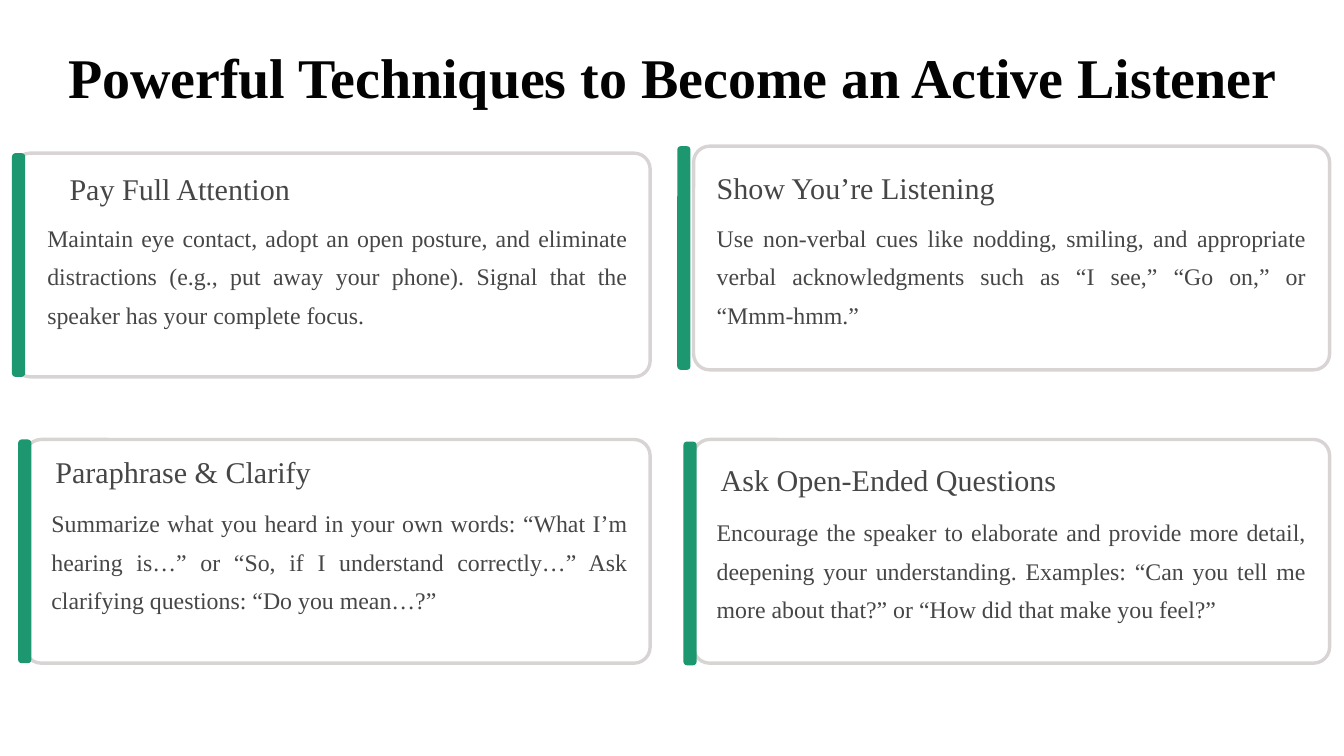
from dataclasses import dataclass
from typing import NamedTuple

from pptx import Presentation
from pptx.dml.color import RGBColor as Rgb
from pptx.enum.shapes import MSO_SHAPE as Kind
from pptx.enum.text import MSO_ANCHOR as Anchor, PP_ALIGN as Align
from pptx.slide import Slide
from pptx.util import Pt


@dataclass(frozen=True)
class Theme:
    font: str = "Times New Roman"
    ink: str = "030303"
    gray: str = "464646"
    white: str = "FFFFFF"
    edge: str = "D8D4D4"
    green: str = "1C9770"
    title: float = 40
    head: float = 21.5
    body: float = 17


class Box(NamedTuple):
    left: float
    top: float
    width: float
    height: float


class Card(NamedTuple):
    frame: Box
    bar: tuple[float, float]
    head: Box
    body: Box
    title: str
    words: str


THEME = Theme()
TALL = 159.8
THIN = 9.4
WIDE = 454.3
ROW = 26.6

CARDS = [
    Card(Box(10.1, 109.4, WIDE, TALL), (8.6, 109.4),
         Box(49.7, 121, 216, ROW), Box(33.8, 152.6, 414.7, 82.8),
         "Pay Full Attention",
         "Maintain eye contact, adopt an open posture, and eliminate distractions "
         "(e.g., put away your phone). Signal that the speaker has your complete focus."),
    Card(Box(495.4, 104.4, WIDE, TALL), (483.8, 104.4),
         Box(511.9, 120.2, 224.6, ROW), Box(511.9, 152.6, 421.2, 82.8),
         "Show You’re Listening",
         "Use non-verbal cues like nodding, smiling, and appropriate verbal "
         "acknowledgments such as “I see,” “Go on,” or “Mmm-hmm.”"),
    Card(Box(18, 313.9, 446.4, TALL), (13, 313.9),
         Box(39.6, 323.3, 216, ROW), Box(36.7, 356.4, 411.8, 82.8),
         "Paraphrase & Clarify",
         "Summarize what you heard in your own words: “What I’m hearing is…” or "
         "“So, if I understand correctly…” Ask clarifying questions: “Do you mean…?”"),
    Card(Box(495.4, 313.9, WIDE, TALL), (488.2, 315.4),
         Box(514.8, 329, 289.4, ROW), Box(511.9, 362.9, 421.2, 110.2),
         "Ask Open-Ended Questions",
         "Encourage the speaker to elaborate and provide more detail, deepening your "
         "understanding. Examples: “Can you tell me more about that?” or “How did that "
         "make you feel?”"),
]


def write(slide: Slide, box: Box, text: str, *, size: float, lead: float,
          color: str = THEME.gray, bold: bool = False,
          align: Align = Align.LEFT, wrap: bool = True) -> None:
    frame = slide.shapes.add_textbox(*map(Pt, box)).text_frame
    frame.word_wrap = wrap
    frame.vertical_anchor = Anchor.TOP
    frame.margin_left = frame.margin_right = Pt(0)
    frame.margin_top = frame.margin_bottom = Pt(0)
    para = frame.paragraphs[0]
    para.alignment = align
    para.line_spacing = Pt(lead)
    run = para.add_run()
    run.text = text
    run.font.name = THEME.font
    run.font.size = Pt(size)
    run.font.bold = bold
    run.font.color.rgb = Rgb.from_string(color)


def panel(slide: Slide, box: Box, fill: str, curve: float, edge: str = "") -> None:
    shape = slide.shapes.add_shape(Kind.ROUNDED_RECTANGLE, *map(Pt, box))
    shape.shadow.inherit = False
    shape.adjustments[0] = curve
    shape.fill.solid()
    shape.fill.fore_color.rgb = Rgb.from_string(fill)
    if edge:
        shape.line.color.rgb = Rgb.from_string(edge)
        shape.line.width = Pt(2.4)
    else:
        shape.line.fill.background()


def draw(slide: Slide, card: Card) -> None:
    panel(slide, card.frame, THEME.white, 0.072, THEME.edge)
    panel(slide, Box(*card.bar, THIN, TALL), THEME.green, 0.27)
    write(slide, card.head, card.title, size=THEME.head, lead=26.5, wrap=False)
    write(slide, card.body, card.words, size=THEME.body, lead=27.5, align=Align.JUSTIFY)


def main() -> None:
    deck = Presentation()
    deck.slide_width, deck.slide_height = Pt(960), Pt(540)
    slide = deck.slides.add_slide(deck.slide_layouts[6])
    write(slide, Box(27.4, 25.2, 905.8, 84.2),
          "Powerful Techniques to Become an Active Listener",
          size=THEME.title, lead=53.5, color=THEME.ink, bold=True, align=Align.CENTER)
    for card in CARDS:
        draw(slide, card)
    deck.save("out.pptx")


if __name__ == "__main__":
    main()
